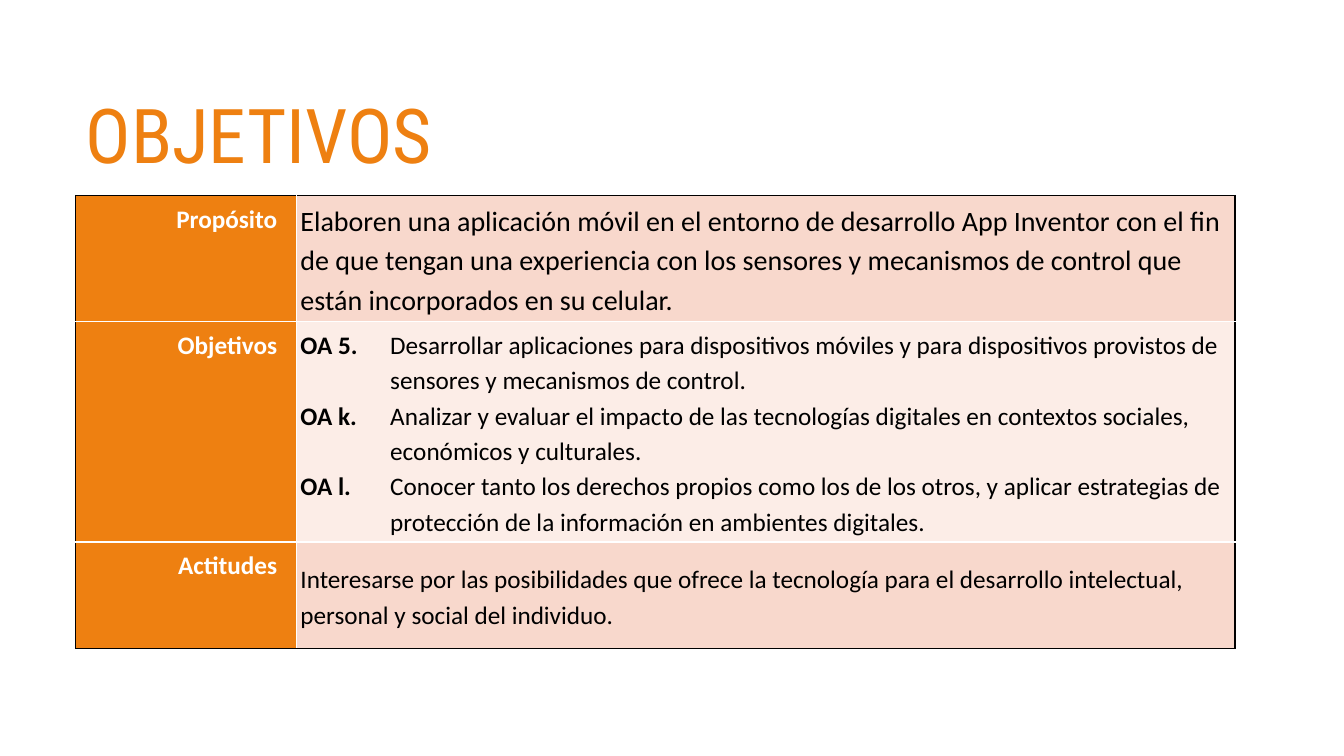
import pptx
import pptx.util
import pptx.dml.color
import pptx.enum.text
import pptx.oxml
import pptx.oxml.ns

ORANGE, PEACH, PALE, WHITE, BLACK = "EE8011", "F8D8CC", "FCEDE7", "FFFFFF", "000000"
ANCHOR = pptx.enum.text.MSO_ANCHOR
ALIGN = pptx.enum.text.PP_ALIGN


def color(value):
    return pptx.dml.color.RGBColor.from_string(value)


def add_run(p, text, size, font, hue, bold=False):
    r = p.add_run()
    r.text = text
    r.font.size = pptx.util.Pt(size)
    r.font.name = font
    r.font.bold = bold
    r.font.color.rgb = color(hue)


prs = pptx.Presentation()
prs.slide_width = pptx.util.Inches(13.33)
prs.slide_height = pptx.util.Inches(7.5)
col = prs.slide_width / 100
row = prs.slide_height / 100
left = int(5.63 * col)

s = prs.slides.add_slide(prs.slide_layouts[5])
title = s.shapes.title
title.left, title.top = left, int(10 * row)
title.width, title.height = int(85.3 * col), int(16.8 * row)
tf = title.text_frame
tf.word_wrap = True
tf.vertical_anchor = ANCHOR.MIDDLE
p = tf.paragraphs[0]
p.alignment = ALIGN.LEFT
p.line_spacing = 0.9
add_run(p, "OBJETIVOS", 54, "Roboto Condensed", ORANGE)

rows = [
    ("Propósito", 11.07, PEACH, ANCHOR.MIDDLE, 20, [
        ("", "Elaboren una aplicación móvil en el entorno de desarrollo App Inventor con el fin de que tengan una experiencia con los sensores y mecanismos de control que están incorporados en su celular."),
    ]),
    ("Objetivos", 28.27, PALE, ANCHOR.TOP, 18, [
        ("OA 5.", "Desarrollar aplicaciones para dispositivos móviles y para dispositivos provistos de sensores y mecanismos de control."),
        ("OA k.", "Analizar y evaluar el impacto de las tecnologías digitales en contextos sociales, económicos y culturales."),
        ("OA l.", "Conocer tanto los derechos propios como los de los otros, y aplicar estrategias de protección de la información en ambientes digitales."),
    ]),
    ("Actitudes", 14.13, PEACH, ANCHOR.MIDDLE, 18, [
        ("", "Interesarse por las posibilidades que ofrece la tecnología para el desarrollo intelectual, personal y social del individuo."),
    ]),
]
widths = [16.43, 69.84]
height = sum(item[1] for item in rows)
table = s.shapes.add_table(len(rows), len(widths), left, int(25.87 * row),
                           int(sum(widths) * col), int(height * row)).table
table.first_row = False
table.horz_banding = False
for i, width in enumerate(widths):
    table.columns[i].width = int(width * col)

pad = int(0.3 * col)
indent = int(6.68 * col)
ns = pptx.oxml.ns.nsdecls("a")
for i, (label, share, fill, anchor, size, entries) in enumerate(rows):
    table.rows[i].height = int(share * row)
    head, body = table.cell(i, 0), table.cell(i, 1)
    for j, cell in enumerate((head, body)):
        cell.margin_left = cell.margin_right = cell.margin_top = cell.margin_bottom = pad
        cell.fill.solid()
        cell.fill.fore_color.rgb = color((ORANGE, fill)[j])
        outer = {"L": j == 0, "R": j == 1, "T": i == 0, "B": i == len(rows) - 1}
        tcPr = cell._tc.get_or_add_tcPr()
        for k, (side, edge) in enumerate(outer.items()):
            hue = BLACK if edge else WHITE
            tcPr.insert(k, pptx.oxml.parse_xml(
                f'<a:ln{side} {ns} w="12700"><a:solidFill><a:srgbClr val="{hue}"/></a:solidFill></a:ln{side}>'))

    head.margin_right = int(1.43 * col)
    head.vertical_anchor = ANCHOR.TOP
    p = head.text_frame.paragraphs[0]
    p.alignment = ALIGN.RIGHT
    p.line_spacing = 1.15
    add_run(p, label, 18, "Calibri", WHITE, True)

    body.vertical_anchor = anchor
    tf = body.text_frame
    for n, (code, text) in enumerate(entries):
        p = tf.add_paragraph() if n else tf.paragraphs[0]
        p.line_spacing = 1.15
        if code:
            pPr = p._p.get_or_add_pPr()
            pPr.set("marL", str(indent))
            pPr.set("indent", str(-indent))
            pPr.append(pptx.oxml.parse_xml(
                f'<a:tabLst {ns}><a:tab pos="{indent}" algn="l"/></a:tabLst>'))
            add_run(p, code, size, "Calibri", BLACK, True)
            text = "\t" + text
        add_run(p, text, size, "Calibri", BLACK)

prs.save("out.pptx")
